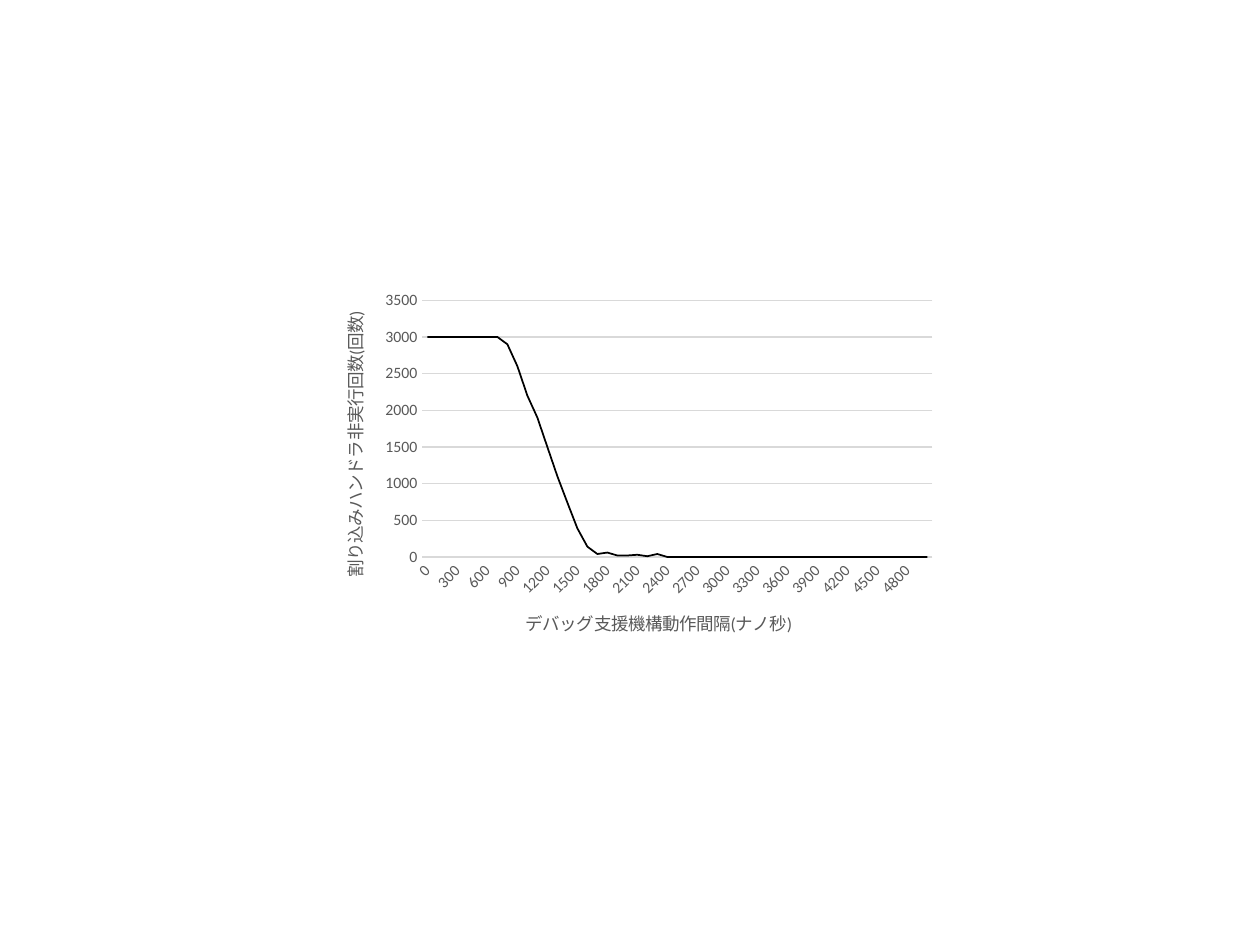
from pptx import Presentation
from pptx.chart.data import CategoryChartData
from pptx.dml.color import RGBColor
from pptx.enum.chart import XL_CHART_TYPE, XL_TICK_MARK
from pptx.oxml import parse_xml
from pptx.oxml.ns import nsdecls
from pptx.util import Inches, Pt

LINE_CHART = XL_CHART_TYPE.LINE
NO_TICK = XL_TICK_MARK.NONE
BLACK = RGBColor(0x00, 0x00, 0x00)
GREY = RGBColor(0x59, 0x59, 0x59)
GRID = RGBColor(0xD9, 0xD9, 0xD9)
FONT = "Calibri"

INTERVALS = range(0, 5001, 100)
MISSED = [3000, 3000, 3000, 3000, 3000, 3000, 3000, 3000, 2900, 2600, 2200, 1900,
          1500, 1100, 740, 390, 140, 40, 60, 20, 20, 30, 10, 40]
MISSED += [0] * (len(INTERVALS) - len(MISSED))


def set_font(font, size, color):
    """Apply the chart typeface in a size and colour."""
    font.name = FONT
    font.size = Pt(size)
    font.bold = False
    font.color.rgb = color


def set_line(line, color, width):
    """Give a line its colour and width in points."""
    line.color.rgb = color
    line.width = Pt(width)


def style_axis(axis, title):
    """Set the title, labels and ticks of one axis."""
    heading = axis.axis_title.text_frame
    heading.text = title
    set_font(heading.paragraphs[0].runs[0].font, 10, GREY)
    set_font(axis.tick_labels.font, 9, GREY)
    axis.major_tick_mark = axis.minor_tick_mark = NO_TICK


def rotate(chart, xpath, angle):
    """Turn the text below an xpath by an angle in degrees."""
    body = chart.element.xpath(xpath + "//a:bodyPr")[0]
    body.set("rot", str(angle * 60000))
    body.set("vert", "horz")


def add_missed_chart(slide, left, top, width, height):
    """Draw missed handler runs against the debug interval."""
    data = CategoryChartData()
    data.categories = [str(interval) for interval in INTERVALS]
    data.add_series("Series 1", MISSED)
    chart = slide.shapes.add_chart(LINE_CHART, left, top, width, height, data).chart
    set_font(chart.font, 10, BLACK)
    chart.has_legend = False
    chart.has_title = False
    chart.plots[0].vary_by_categories = False

    missed = chart.plots[0].series[0]
    missed.smooth = False
    set_line(missed.format.line, BLACK, 1)

    intervals, counts = chart.category_axis, chart.value_axis
    style_axis(intervals, "デバッグ支援機構動作間隔(ナノ秒)")
    style_axis(counts, "割り込みハンドラ非実行回数(回数)")
    set_line(intervals.format.line, GRID, 0.75)
    counts.format.line.fill.background()
    counts.has_major_gridlines = True
    set_line(counts.major_gridlines.format.line, GRID, 0.75)
    counts.minimum_scale, counts.maximum_scale, counts.major_unit = 0, 3500, 500

    rotate(chart, "//c:catAx/c:txPr", -45)
    rotate(chart, "//c:valAx/c:title", -90)
    skip = parse_xml(f'<c:tickLblSkip {nsdecls("c")} val="3"/>')
    chart.element.xpath("//c:catAx/c:noMultiLvlLbl")[0].addprevious(skip)


prs = Presentation()
prs.slide_width, prs.slide_height = Inches(10), Inches(7.5)
slide = prs.slides.add_slide(prs.slide_layouts[6])
add_missed_chart(slide, Inches(2.5), Inches(2.25), Inches(5), Inches(3))
prs.save("out.pptx")
